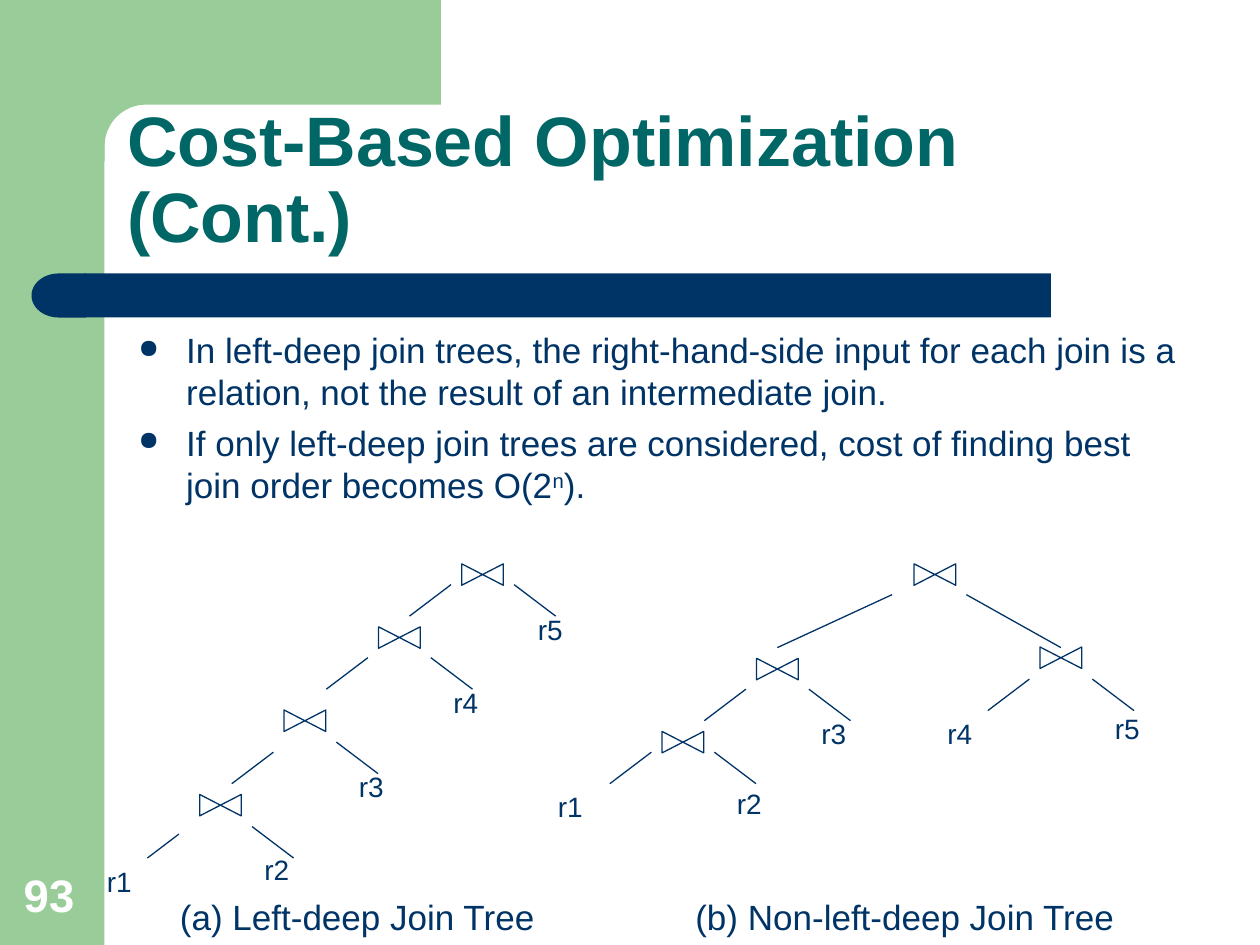
from dataclasses import dataclass
from math import cos, pi, sin

from lxml.etree import SubElement
from pptx import Presentation
from pptx.dml.color import RGBColor
from pptx.enum.shapes import MSO_CONNECTOR, MSO_SHAPE
from pptx.enum.text import MSO_ANCHOR
from pptx.oxml.ns import qn
from pptx.util import Inches, Pt


@dataclass(frozen=True)
class Theme:
    font: str = "Arial"
    green: str = "99CC99"
    navy: str = "003366"
    teal: str = "006666"
    white: str = "FFFFFF"
    title: int = 40
    page: int = 26
    body: int = 20
    label: int = 16
    line: float = 0.75


T = Theme()

TITLE = "Cost-Based Optimization (Cont.)"
BULLETS = [
    [("In left-deep join trees, the right-hand-side input for each join is a "
      "relation, not the result of an intermediate join.", False)],
    [("If only left-deep join trees are considered, cost of finding best "
      "join order becomes O(2", False), ("n", True), (").", False)],
]
TREES = [
    {
        "caption": ("(a) Left-deep Join Tree", 1.33),
        "joins": [(3.83, 4.56, 0.08, 0.08), (3.17, 5.06, 0.16, 0.16),
                  (2.42, 5.72, 0.25, 0.17), (1.75, 6.39, None, 0.17)],
        "long_edges": [(1.42, 6.62, 1.17, 6.81)],
        "relations": [("r5", 4.17, 4.81), ("r4", 3.5, 5.39), ("r3", 2.75, 6.06),
                      ("r2", 2, 6.72), ("r1", 0.75, 6.81)],
    },
    {
        "caption": ("(b) Non-left-deep Join Tree", 5.42),
        "joins": [(7.42, 4.56, None, None), (6.17, 5.31, 0.16, 0.16),
                  (5.42, 5.89, 0.08, 0.08), (8.42, 5.22, 0.17, 0.17)],
        "long_edges": [(7.08, 4.72, 6.17, 5.14), (7.67, 4.72, 8.42, 5.14)],
        "relations": [("r1", 4.33, 6.22), ("r2", 5.75, 6.19), ("r3", 6.42, 5.64),
                      ("r4", 7.42, 5.64), ("r5", 8.75, 5.6)],
    },
]
JOIN_W, JOIN_H = 0.17, 0.33
EDGE_GAP, EDGE_W, EDGE_H = 0.25, 0.33, 0.25


def color(value):
    return RGBColor.from_string(value)


def paint(sp, fill=None, line=None):
    sp.shadow.inherit = False
    if fill:
        sp.fill.solid()
        sp.fill.fore_color.rgb = color(fill)
    else:
        sp.fill.background()
    if line:
        sp.line.color.rgb = color(line)
        sp.line.width = Pt(T.line)
    else:
        sp.line.fill.background()


def add_shape(s, kind, x, y, w, h, rotation=0, **look):
    sp = s.shapes.add_shape(kind, Inches(x), Inches(y), Inches(w), Inches(h))
    sp.rotation = rotation
    paint(sp, **look)


def add_corner(s):
    radius, edge = 0.33, 0.83
    center = edge + radius
    arc = [(center - radius * sin(a), center - radius * cos(a))
           for a in (i * pi / 24 for i in range(13))]
    points = [(3.5, edge), *arc, (edge, 1.28), (0.5, 1.28), (0.5, 0)]
    fb = s.shapes.build_freeform(Inches(3.5), 0)
    fb.add_line_segments([(Inches(x), Inches(y)) for x, y in points])
    paint(fb.convert_to_shape(), fill=T.green)


def add_edge(s, x1, y1, x2, y2):
    c = s.shapes.add_connector(MSO_CONNECTOR.STRAIGHT, Inches(x1), Inches(y1),
                               Inches(x2), Inches(y2))
    c.line.color.rgb = color(T.navy)
    c.line.width = Pt(T.line)
    SubElement(c._element.spPr, qn("a:effectLst"))


def add_bullet(p):
    pPr = p._p.get_or_add_pPr()
    pPr.set("marL", str(Inches(0.38)))
    pPr.set("indent", str(Inches(-0.38)))
    SubElement(SubElement(pPr, qn("a:buClr")), qn("a:srgbClr")).set("val", T.navy)
    SubElement(pPr, qn("a:buSzPct")).set("val", "75000")
    SubElement(pPr, qn("a:buChar")).set("char", "●")


def add_text(s, text, x, y, w, h, size=T.body, fill=T.navy, bold=False,
             anchor=MSO_ANCHOR.TOP, spacing=None, bullets=False, gap=0):
    tf = s.shapes.add_textbox(Inches(x), Inches(y), Inches(w), Inches(h)).text_frame
    tf.word_wrap = True
    tf.vertical_anchor = anchor
    paragraphs = [[(text, False)]] if isinstance(text, str) else text
    for i, runs in enumerate(paragraphs):
        p = tf.add_paragraph() if i else tf.paragraphs[0]
        if bullets:
            add_bullet(p)
        if i:
            p.space_before = Pt(gap)
        if spacing:
            p.line_spacing = spacing
        for content, raised in runs:
            r = p.add_run()
            r.text = content
            r.font.name = T.font
            r.font.size = Pt(size)
            r.font.bold = bold
            r.font.color.rgb = color(fill)
            if raised:
                r._r.get_or_add_rPr().set("baseline", "30000")


def add_tree(s, tree):
    for cx, cy, *drops in tree["joins"]:
        add_shape(s, MSO_SHAPE.FLOWCHART_COLLATE, cx - JOIN_W / 2, cy - JOIN_H / 2,
                  JOIN_W, JOIN_H, rotation=270, line=T.navy)
        for side, drop in zip((-1, 1), drops):
            if drop is not None:
                x, y = cx + side * EDGE_GAP, cy + drop
                add_edge(s, x, y, x + side * EDGE_W, y + EDGE_H)
    for edge in tree["long_edges"]:
        add_edge(s, *edge)
    for name, x, y in tree["relations"]:
        add_text(s, name, x, y, 0.75, 0.37, size=T.label)
    caption, x = tree["caption"]
    add_text(s, caption, x, 7.06, 3.75, 0.44)


def main():
    prs = Presentation()
    prs.slide_width, prs.slide_height = Inches(10), Inches(7.5)
    s = prs.slides.add_slide(prs.slide_layouts[6])
    add_shape(s, MSO_SHAPE.RECTANGLE, 0, 0, 0.83, 7.5, fill=T.green)
    add_corner(s)
    add_shape(s, MSO_SHAPE.RECTANGLE, 0.67, 2.17, 7.67, 0.35, fill=T.navy)
    add_shape(s, MSO_SHAPE.FLOWCHART_DELAY, 0.25, 2.17, 0.43, 0.35,
              rotation=180, fill=T.navy)
    add_text(s, "93", 0.09, 6.83, 0.64, 0.53, size=T.page, fill=T.white,
             bold=True, anchor=MSO_ANCHOR.BOTTOM)
    add_text(s, TITLE, 0.91, 1, 8.51, 1.09, size=T.title, fill=T.teal,
             bold=True, anchor=MSO_ANCHOR.BOTTOM, spacing=0.9)
    add_text(s, BULLETS, 1, 2.56, 8.5, 4.75, bullets=True, gap=5)
    for tree in TREES:
        add_tree(s, tree)
    prs.save("out.pptx")


if __name__ == "__main__":
    main()
